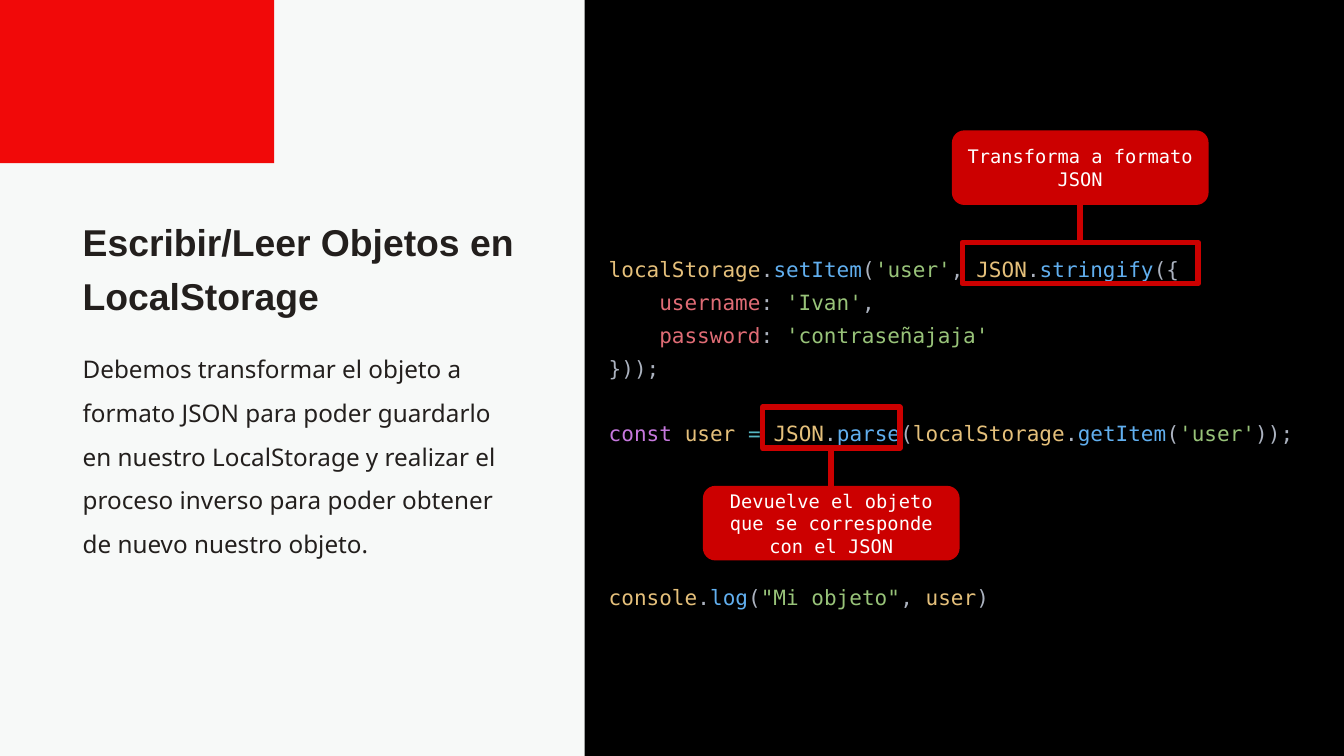
"""Build the slide on writing and reading objects in LocalStorage."""
from lxml import etree
from pptx import Presentation
from pptx.dml.color import RGBColor
from pptx.enum import shapes, text
from pptx.oxml import ns
from pptx.util import Inches, Pt

THEME = {
    "color": {
        "background": "F7F9F8", "accent": "F10909", "panel": "000000", "ink": "231F1D",
        "callout": "CC0000", "callout_text": "FFFFFF", "name": "E5C07B", "mark": "ABB2BF",
        "method": "61AFEF", "string": "98C379", "key": "E06C75", "keyword": "C678DD",
        "operator": "56B6C2",
    },
    "font": {"title": "Arial", "body": "Noto Sans", "code": "DejaVu Sans Mono"},
    "size": {"title": 40, "body": 26, "code": 22.5, "callout": 20},
    "line_width": 6,
}
TITLE = "Escribir/Leer Objetos en LocalStorage"
BODY = ("Debemos transformar el objeto a formato JSON para poder guardarlo en nuestro "
        "LocalStorage y realizar el proceso inverso para poder obtener de nuevo nuestro objeto.")
CODE = [
    {"tokens": [("name", "localStorage"), ("mark", "."), ("method", "setItem"), ("mark", "("),
                ("string", "'user'"), ("mark", ", "), ("name", "JSON"), ("mark", "."),
                ("method", "stringify"), ("mark", "({")]},
    {"indent": 4, "tokens": [("key", "username"), ("mark", ": "), ("string", "'Ivan'"),
                             ("mark", ",")]},
    {"indent": 4, "tokens": [("key", "password"), ("mark", ": "),
                             ("string", "'contraseñajaja'")]},
    {"tokens": [("mark", "}));")]},
    {"skip": 1, "tokens": [("keyword", "const"), ("mark", " "), ("name", "user"), ("mark", " "),
                           ("operator", "="), ("mark", " "), ("name", "JSON"), ("mark", "."),
                           ("method", "parse"), ("mark", "("), ("name", "localStorage"),
                           ("mark", "."), ("method", "getItem"), ("mark", "("),
                           ("string", "'user'"), ("mark", "));")]},
    {"skip": 4, "tokens": [("name", "console"), ("mark", "."), ("method", "log"), ("mark", "("),
                           ("string", '"Mi objeto"'), ("mark", ", "), ("name", "user"),
                           ("mark", ")")]},
]
CALLOUTS = [
    {"text": "Transforma a formato JSON", "frame": (14.32, 3.61, 3.51, 0.61), "above": True},
    {"text": "Devuelve el objeto que se corresponde con el JSON",
     "frame": (11.35, 6.06, 2.04, 0.61), "above": False},
]
CALLOUT_WIDTH, CALLOUT_HEIGHT, CALLOUT_GAP = 3.82, 1.11, 0.56
CODE_LINE_POINTS = 35.15
CODE_CHARACTER_POINTS = 13.55


def color(name):
    return RGBColor.from_string(THEME["color"][name])


def box(values):
    return [Inches(value) for value in values]


def add_run(paragraph, words, color_name, style, size=None, bold=False):
    run = paragraph.add_run()
    run.text = words
    run.font.name = THEME["font"][style]
    run.font.size = Pt(THEME["size"][size or style])
    run.font.bold = bold
    run.font.color.rgb = color(color_name)


def set_frame(frame, inset, anchor=text.MSO_ANCHOR.TOP, grow=False):
    frame.word_wrap = True
    frame.vertical_anchor = anchor
    frame.margin_left = frame.margin_right = Inches(inset)
    frame.margin_top = frame.margin_bottom = Inches(inset)
    frame.auto_size = (text.MSO_AUTO_SIZE.SHAPE_TO_FIT_TEXT if grow
                       else text.MSO_AUTO_SIZE.NONE)


def add_block(slide, kind, place, fill=None, line=None):
    shape = slide.shapes.add_shape(kind, *box(place))
    shape.shadow.inherit = False
    if fill:
        shape.fill.solid()
        shape.fill.fore_color.rgb = color(fill)
    else:
        shape.fill.background()
    if line:
        shape.line.color.rgb = color(line)
        shape.line.width = Pt(THEME["line_width"])
    else:
        shape.line.fill.background()
    return shape


def add_prose(shape, words, style, spacing, bold=False):
    set_frame(shape.text_frame, 0, grow=True)
    paragraph = shape.text_frame.paragraphs[0]
    paragraph.alignment = text.PP_ALIGN.LEFT
    paragraph.line_spacing = spacing
    add_run(paragraph, words, "ink", style, bold=bold)


def add_code(slide):
    frame = slide.shapes.add_textbox(*box((8.96, 3.61, 10.41, 5.52))).text_frame
    set_frame(frame, 0.1, grow=True)
    for index, line in enumerate(CODE):
        paragraph = frame.add_paragraph() if index else frame.paragraphs[0]
        paragraph.line_spacing = 1.3
        paragraph.space_before = Pt(line.get("skip", 0) * CODE_LINE_POINTS)
        indent = Pt(line.get("indent", 0) * CODE_CHARACTER_POINTS)
        paragraph._p.get_or_add_pPr().set("marL", str(int(indent)))
        for kind, words in line["tokens"]:
            add_run(paragraph, words, kind, "code")


def add_callout(slide, callout):
    left, top, width, height = callout["frame"]
    center = left + width / 2
    if callout["above"]:
        start, end = top, top - CALLOUT_GAP
        label_top = end - CALLOUT_HEIGHT
    else:
        start, end = top + height, top + height + CALLOUT_GAP
        label_top = end
    add_block(slide, shapes.MSO_SHAPE.RECTANGLE, callout["frame"], line="callout")
    connector = slide.shapes.add_connector(shapes.MSO_CONNECTOR.STRAIGHT,
                                           *box((center, start, center, end)))
    connector.line.color.rgb = color("callout")
    connector.line.width = Pt(THEME["line_width"])
    etree.SubElement(connector._element.spPr, ns.qn("a:effectLst"))
    label = add_block(slide, shapes.MSO_SHAPE.ROUNDED_RECTANGLE,
                      (center - CALLOUT_WIDTH / 2, label_top, CALLOUT_WIDTH, CALLOUT_HEIGHT),
                      fill="callout")
    set_frame(label.text_frame, 0.1, text.MSO_ANCHOR.MIDDLE)
    paragraph = label.text_frame.paragraphs[0]
    paragraph.alignment = text.PP_ALIGN.CENTER
    add_run(paragraph, callout["text"], "callout_text", "code", "callout")


def main():
    presentation = Presentation()
    presentation.slide_width, presentation.slide_height = box((20, 11.25))
    slide = presentation.slides.add_slide(presentation.slide_layouts.get_by_name("Title Only"))
    slide.background.fill.solid()
    slide.background.fill.fore_color.rgb = color("background")

    add_block(slide, shapes.MSO_SHAPE.RECTANGLE, (0, 0, 4.08, 2.43), fill="accent")
    add_block(slide, shapes.MSO_SHAPE.RECTANGLE, (8.7, 0, 11.3, 11.25), fill="panel")
    title = slide.shapes.title
    title.left, title.top, title.width, title.height = box((1.23, 3.13, 6.5, 1.48))
    add_prose(title, TITLE, "title", 1.2, bold=True)
    body = slide.shapes.add_textbox(*box((1.23, 5.06, 6.5, 3.06)))
    add_prose(body, BODY, "body", 1.5)
    add_code(slide)
    for callout in CALLOUTS:
        add_callout(slide, callout)
    presentation.save("out.pptx")


if __name__ == "__main__":
    main()
